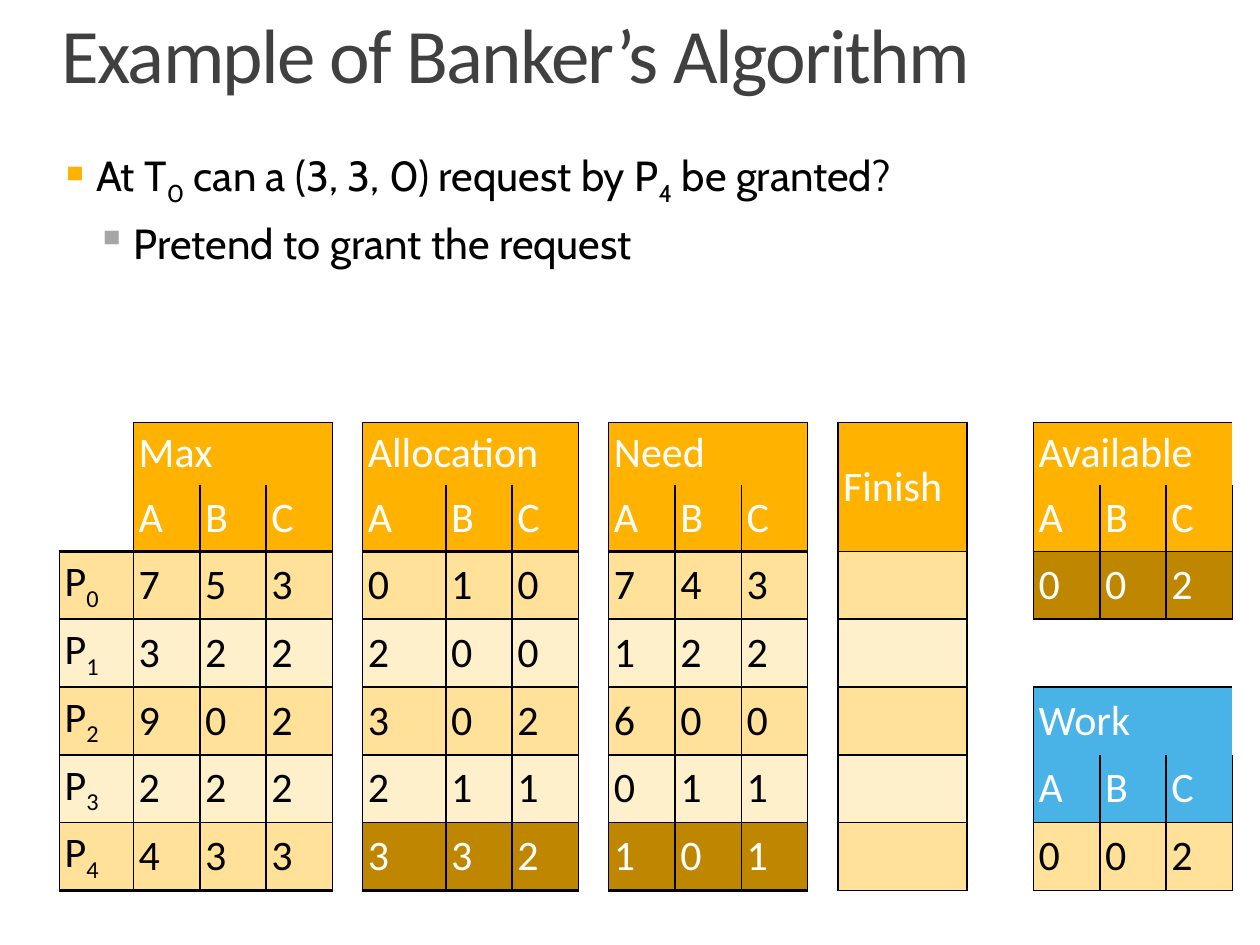
import dataclasses

import lxml.etree
import pptx
import pptx.dml.color
import pptx.enum.text
import pptx.oxml.ns
import pptx.util

Pt = pptx.util.Pt
qn = pptx.oxml.ns.qn
Anchor = pptx.enum.text.MSO_ANCHOR


@dataclasses.dataclass(frozen=True)
class Theme:
    head: str = "Calibri"
    body: str = "Cabin"
    big: int = 44
    text: int = 24
    gray: str = "404040"
    black: str = "000000"
    white: str = "FFFFFF"
    gold: str = "FFB300"
    dark: str = "BF8600"
    blue: str = "49B3E8"
    mute: str = "A6A6A6"
    bands: tuple = ("FFE199", "FFF0CC")
    thin: float = 1
    thick: float = 2.25
    inset: float = 3


def rgb(code):
    return pptx.dml.color.RGBColor.from_string(code)


class Deck:
    # Each side: the step to the neighbour and the neighbour's matching side
    SIDES = {"L": (0, -1, "R"), "R": (0, 1, "L"),
             "T": (-1, 0, "B"), "B": (1, 0, "T")}

    def __init__(self, theme, wide, high):
        self.theme = theme
        self.show = pptx.Presentation()
        self.show.slide_width, self.show.slide_height = Pt(wide), Pt(high)
        self.slide = self.show.slides.add_slide(self.show.slide_layouts[6])

    def runs(self, para, parts, font, size, hue):
        """Add runs; every second part is a subscript."""
        for i, part in enumerate(parts):
            run = para.add_run()
            run.text = part
            run.font.name, run.font.size = font, Pt(size)
            run.font.color.rgb = rgb(hue)
            if i % 2:
                run.font._element.set("baseline", "-25000")

    def frame(self, left, top, wide, high, anchor):
        box = self.slide.shapes.add_textbox(Pt(left), Pt(top), Pt(wide), Pt(high))
        frame = box.text_frame
        frame.word_wrap = True
        frame.vertical_anchor = anchor
        frame.margin_left = frame.margin_right = 0
        frame.margin_top = frame.margin_bottom = 0
        return frame

    def title(self, text):
        th = self.theme
        frame = self.frame(0, 0, 720, 56.2, Anchor.BOTTOM)
        frame.margin_top = Pt(th.inset)
        para = frame.paragraphs[0]
        para.line_spacing = 0.8
        para._p.get_or_add_pPr().set("marL", str(Pt(35.3)))
        self.runs(para, [text], th.head, th.big, th.gray)
        para.runs[0].font._element.set("spc", "-100")

    def bullet(self, para, parts, level, margin, hang, gap, hue):
        para.level = level
        para.space_before = Pt(gap)
        props = para._p.get_or_add_pPr()
        props.set("marL", str(Pt(margin)))
        props.set("indent", str(Pt(-hang)))
        tint = lxml.etree.SubElement(props, qn("a:buClr"))
        lxml.etree.SubElement(tint, qn("a:srgbClr")).set("val", hue)
        lxml.etree.SubElement(props, qn("a:buChar")).set("char", "▪")
        self.runs(para, parts, self.theme.body, self.theme.text, self.theme.black)

    def grid(self, left, top, cols, rows):
        self.size = len(rows), len(cols)
        self.lines = {}
        shape = self.slide.shapes.add_table(
            *self.size, Pt(left), Pt(top), Pt(sum(cols)), Pt(sum(rows)))
        self.table = shape.table
        self.table.first_row = self.table.horz_banding = False
        for col, wide in zip(self.table.columns, cols):
            col.width = Pt(wide)
        for row, high in zip(self.table.rows, rows):
            row.height = Pt(high)
        for cell in self.table.iter_cells():
            cell.fill.background()

    def edge(self, row, col, sides, width):
        """Note a line on a cell and on the neighbour that shares it."""
        for side in sides:
            down, right, other = self.SIDES[side]
            self.lines[row, col, side] = width
            self.lines[row + down, col + right, other] = width

    def cell(self, row, col, parts, fill, hue, sides="LRTB"):
        th = self.theme
        cell = self.table.cell(row, col)
        cell.fill.solid()
        cell.fill.fore_color.rgb = rgb(fill)
        cell.vertical_anchor = Anchor.MIDDLE
        cell.margin_left = cell.margin_right = Pt(th.inset)
        cell.margin_top = cell.margin_bottom = Pt(th.inset)
        self.runs(cell.text_frame.paragraphs[0], parts, th.head, th.text, hue)
        self.edge(row, col, sides, th.thin)
        return cell

    def band(self, row):
        return self.theme.bands[row % 2]

    def block(self, row, col, name, body, fill, rule, hot=None):
        """A named heading over columns A, B, C and rows of digits."""
        th = self.theme
        last = row + 1 + len(body)
        cell = self.cell(row, col, [name], fill, th.white, "LT")
        for i, mark in enumerate("ABC"):
            self.edge(row, col + i, "T", th.thin)
            self.cell(row + 1, col + i, [mark], fill, th.white, "LRB")
            for at, digits in enumerate(body, row + 2):
                lit = at == hot
                self.cell(at, col + i, [digits[i]],
                          th.dark if lit else self.band(at),
                          th.white if lit else th.black)
            self.edge(row + 1, col + i, "B", rule)
            self.edge(last, col + i, "B", rule)
        self.edge(row, col + 2, "R", th.thin)
        cell.merge(self.table.cell(row, col + 2))

    def rule(self):
        """Draw the noted lines and clear all other sides."""
        for row in range(self.size[0]):
            for col in range(self.size[1]):
                props = self.table.cell(row, col)._tc.get_or_add_tcPr()
                for i, side in enumerate(self.SIDES):
                    width = self.lines.get((row, col, side))
                    line = lxml.etree.Element(qn("a:ln" + side))
                    if width:
                        line.set("w", str(Pt(width)))
                        fill = lxml.etree.SubElement(line, qn("a:solidFill"))
                        tint = lxml.etree.SubElement(fill, qn("a:srgbClr"))
                        tint.set("val", self.theme.black)
                    else:
                        lxml.etree.SubElement(line, qn("a:noFill"))
                    props.insert(i, line)


def main():
    th = Theme()
    deck = Deck(th, 720, 540)
    deck.title("Example of Banker’s Algorithm")

    # Table grid: label column, then blocks with gaps between them
    unit = 37.9
    trio = [unit] * 3
    cols = [42.3, *trio, 13.5, 47.6, unit, unit, 11.3, *trio, 8.7, 73.9, unit, *trio]
    deck.grid(34, 241.5, cols, [35.4] + [38.2] * 6)

    # Process labels
    for i in range(5):
        deck.cell(i + 2, 0, ["P", str(i)], deck.band(i), th.black)
    deck.edge(2, 0, "T", th.thick)
    deck.edge(6, 0, "B", th.thick)

    # Matrices and vectors
    deck.block(0, 1, "Max", ["753", "322", "902", "222", "433"], th.gold, th.thick)
    deck.block(0, 5, "Allocation", ["010", "200", "302", "211", "332"],
               th.gold, th.thick, hot=6)
    deck.block(0, 9, "Need", ["743", "122", "600", "011", "101"],
               th.gold, th.thick, hot=6)
    deck.block(0, 15, "Available", ["002"], th.gold, th.thin, hot=2)
    deck.block(4, 15, "Work", ["002"], th.blue, th.thin)

    # Finish column
    finish = deck.cell(0, 13, ["Finish"], th.gold, th.white, "LRT")
    deck.edge(1, 13, "LRB", th.thin)
    finish.merge(deck.table.cell(1, 13))
    for row in range(2, 7):
        deck.cell(row, 13, [], deck.band(row), th.black)
    deck.rule()

    # Question
    body = deck.frame(34, 85.7, 652, 198.7, Anchor.TOP)
    deck.bullet(body.paragraphs[0],
                ["At T", "0", " can a (3, 3, 0) request by P", "4", " be granted?"],
                0, 21, 21, 18, th.gold)
    deck.bullet(body.add_paragraph(), ["Pretend to grant the request"],
                1, 42.5, 21.6, 6, th.mute)

    deck.show.save("out.pptx")


if __name__ == "__main__":
    main()
